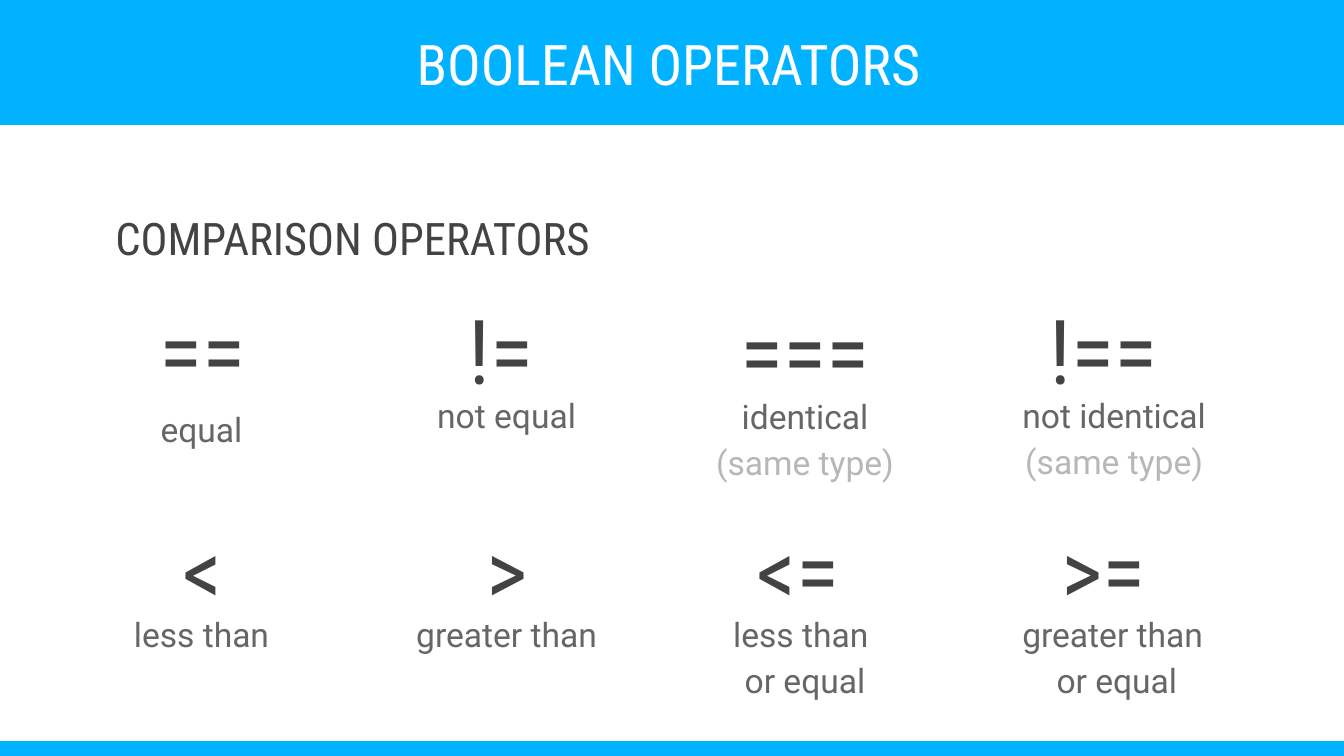
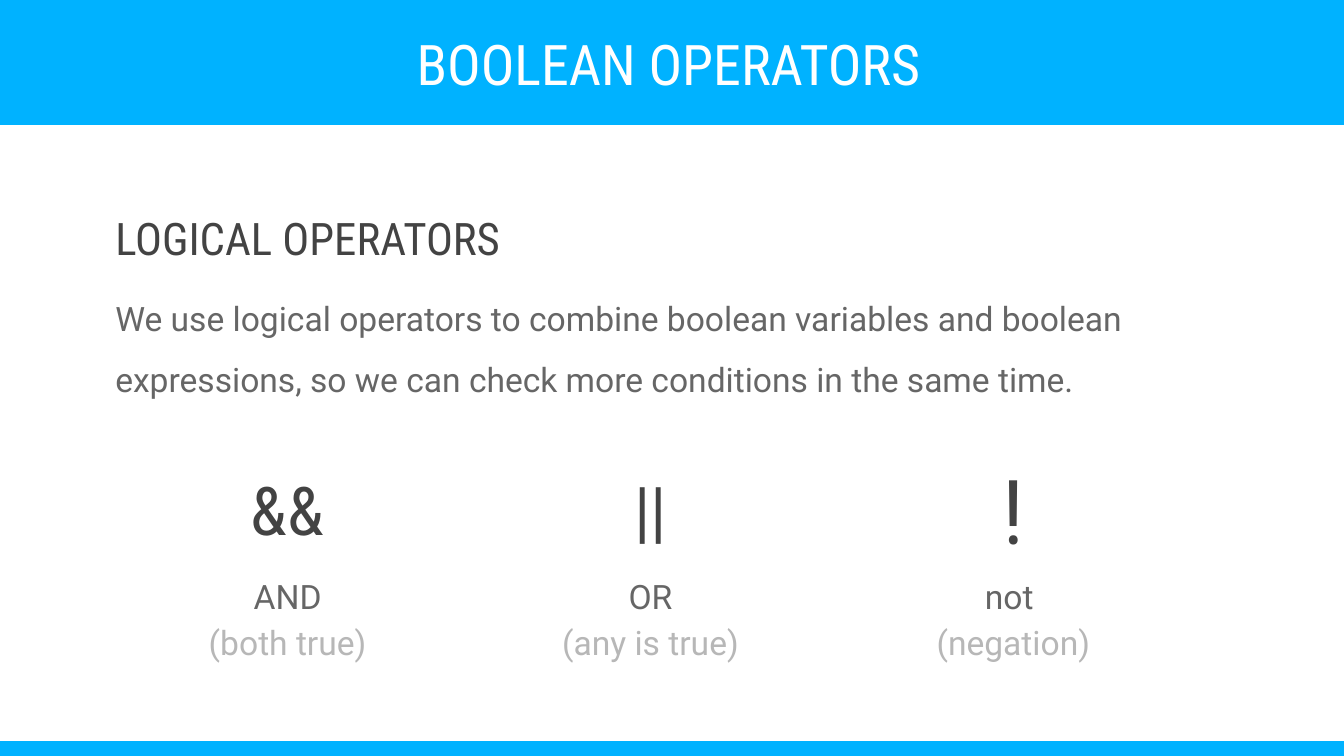
from dataclasses import dataclass

from pptx import Presentation
from pptx.dml.color import RGBColor
from pptx.enum.shapes import MSO_SHAPE
from pptx.enum.text import MSO_ANCHOR, PP_ALIGN
from pptx.util import Inches, Pt

RECTANGLE = MSO_SHAPE.RECTANGLE
TOP, MIDDLE = MSO_ANCHOR.TOP, MSO_ANCHOR.MIDDLE
LEFT, CENTER = PP_ALIGN.LEFT, PP_ALIGN.CENTER

SLIDE_WIDTH = 10
SLIDE_HEIGHT = SLIDE_WIDTH * 9 / 16
HEADER_HEIGHT, FOOTER_HEIGHT = 0.93, 0.11
SYMBOL_HEIGHT = 0.93
NARROW, WIDE, WIDEST = (1.57, 0.45), (1.91, 0.62), (2.11, 0.62)

BLUE, WHITE = "00B2FF", "FFFFFF"
DARK, GREY, PALE = "434343", "666666", "B7B7B7"


def rgb(color: str) -> RGBColor:
    return RGBColor.from_string(color)


@dataclass(frozen=True)
class TextStyle:
    font: str
    size: int
    color: str
    align: PP_ALIGN = CENTER
    anchor: MSO_ANCHOR = TOP
    line_spacing: float = 1.0
    space_after: int = 0


CONDENSED, REGULAR = "Roboto Condensed", "Roboto"
TITLE = TextStyle(CONDENSED, 30, WHITE)
HEADING = TextStyle(CONDENSED, 24, DARK, LEFT, line_spacing=1.5, space_after=10)
BODY = TextStyle(REGULAR, 18, GREY, LEFT, line_spacing=1.5)


@dataclass(frozen=True)
class Operator:
    symbol: str
    meaning: str
    symbol_center: float
    meaning_center: float
    symbol_top: float
    meaning_top: float
    second_line: str = ""
    second_color: str = PALE
    meaning_size: tuple[float, float] = WIDE
    symbol_width: float = 1.16
    symbol_points: int = 48
    meaning_spacing: float = 1.15


EQUALITY_ROW, ORDER_ROW = (2.13, 2.79), (3.77, 4.42)
COMPARISONS = [
    Operator("==", "equal", 1.51, 1.5, *EQUALITY_ROW,
             meaning_size=NARROW, meaning_spacing=1.5),
    Operator("!=", "not equal", 3.73, 3.77, *EQUALITY_ROW, meaning_size=NARROW),
    Operator("===", "identical", 5.99, 5.99, 2.14, 2.8, "(same type)", symbol_width=1.35),
    Operator("!==", "not identical", 8.21, 8.29, *EQUALITY_ROW, "(same type)"),
    Operator("<", "less than", 1.51, 1.5, *ORDER_ROW, meaning_size=NARROW),
    Operator(">", "greater than", 3.77, 3.77, *ORDER_ROW, symbol_width=1.35),
    Operator("<=", "less than ", 5.94, 5.99, *ORDER_ROW, "or equal", GREY, NARROW),
    Operator(">=", "greater than ", 8.21, 8.31, *ORDER_ROW, "or equal", GREY, WIDEST),
]

LOGIC_ROW, LOGIC_START, LOGIC_PITCH = (3.32, 4.14), 2.14, 2.7
LOGIC_TEXTS = [
    ("&&", "AND", "(both true)", 36),
    ("||", "OR", "(any is true)", 36),
    ("!", "not ", "(negation)", 48),
]
LOGIC = [
    Operator(symbol, meaning, LOGIC_START + column * LOGIC_PITCH,
             LOGIC_START + column * LOGIC_PITCH, *LOGIC_ROW, note, symbol_points=points)
    for column, (symbol, meaning, note, points) in enumerate(LOGIC_TEXTS)
]


def add_band(slide, top: float, height: float) -> None:
    band = slide.shapes.add_shape(RECTANGLE, 0, Inches(top),
                                  Inches(SLIDE_WIDTH), Inches(height))
    band.shadow.inherit = False
    band.fill.solid()
    band.fill.fore_color.rgb = rgb(BLUE)
    band.line.fill.background()


def add_text(slide, left: float, top: float, width: float, height: float,
             lines: list[tuple[str, str]], style: TextStyle) -> None:
    """Write (text, colour) lines, one paragraph each."""
    frame = slide.shapes.add_textbox(Inches(left), Inches(top),
                                     Inches(width), Inches(height)).text_frame
    frame.word_wrap = True
    frame.vertical_anchor = style.anchor
    frame.margin_left = frame.margin_right = Inches(0.1)
    frame.margin_top = frame.margin_bottom = Inches(0.1)
    for index, (text, color) in enumerate(lines):
        paragraph = frame.add_paragraph() if index else frame.paragraphs[0]
        paragraph.text = text
        paragraph.alignment = style.align
        paragraph.line_spacing = style.line_spacing
        paragraph.space_after = Pt(style.space_after)
        paragraph.font.name = style.font
        paragraph.font.size = Pt(style.size)
        paragraph.font.color.rgb = rgb(color)


def add_operator(slide, operator: Operator) -> None:
    # Meaning below the symbol
    width, height = operator.meaning_size
    lines = [(operator.meaning, GREY)]
    if operator.second_line:
        lines.append((operator.second_line, operator.second_color))
    add_text(slide, operator.meaning_center - width / 2, operator.meaning_top,
             width, height, lines,
             TextStyle(REGULAR, 18, GREY, line_spacing=operator.meaning_spacing))
    # Symbol
    add_text(slide, operator.symbol_center - operator.symbol_width / 2,
             operator.symbol_top, operator.symbol_width, SYMBOL_HEIGHT,
             [(operator.symbol, DARK)],
             TextStyle(CONDENSED, operator.symbol_points, DARK,
                       anchor=MIDDLE, space_after=10))


def add_operator_slide(deck, heading: str, operators: list[Operator]):
    slide = deck.slides.add_slide(deck.slide_layouts[6])
    # Header and footer bands
    add_band(slide, 0, HEADER_HEIGHT)
    add_text(slide, 0.18, 0.12, 9.59, 0.66, [("BOOLEAN OPERATORS", TITLE.color)], TITLE)
    add_band(slide, SLIDE_HEIGHT - FOOTER_HEIGHT, FOOTER_HEIGHT)
    # Content
    for operator in operators:
        add_operator(slide, operator)
    add_text(slide, 0.76, 1.27, 4.07, 0.51, [(heading, HEADING.color)], HEADING)
    return slide


def main() -> None:
    deck = Presentation()
    deck.slide_width, deck.slide_height = Inches(SLIDE_WIDTH), Inches(SLIDE_HEIGHT)
    add_operator_slide(deck, "COMPARISON OPERATORS", COMPARISONS)
    logic_slide = add_operator_slide(deck, "LOGICAL OPERATORS", LOGIC)
    introduction = ("We use logical operators to combine boolean variables and boolean "
                    "expressions, so we can check more conditions in the same time.")
    add_text(logic_slide, 0.76, 1.97, 8.67, 1.41, [(introduction, BODY.color)], BODY)
    deck.save("out.pptx")


if __name__ == "__main__":
    main()
